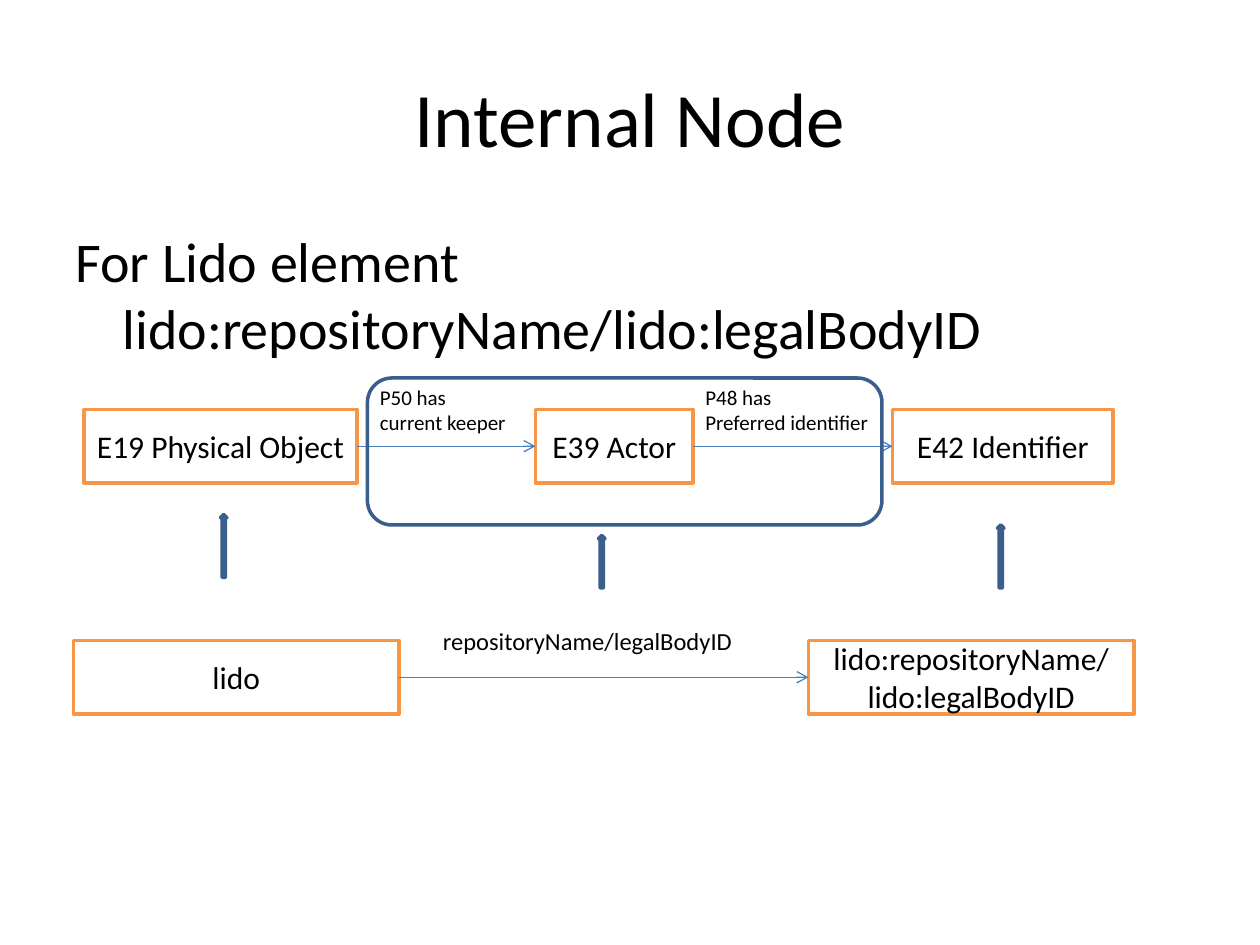
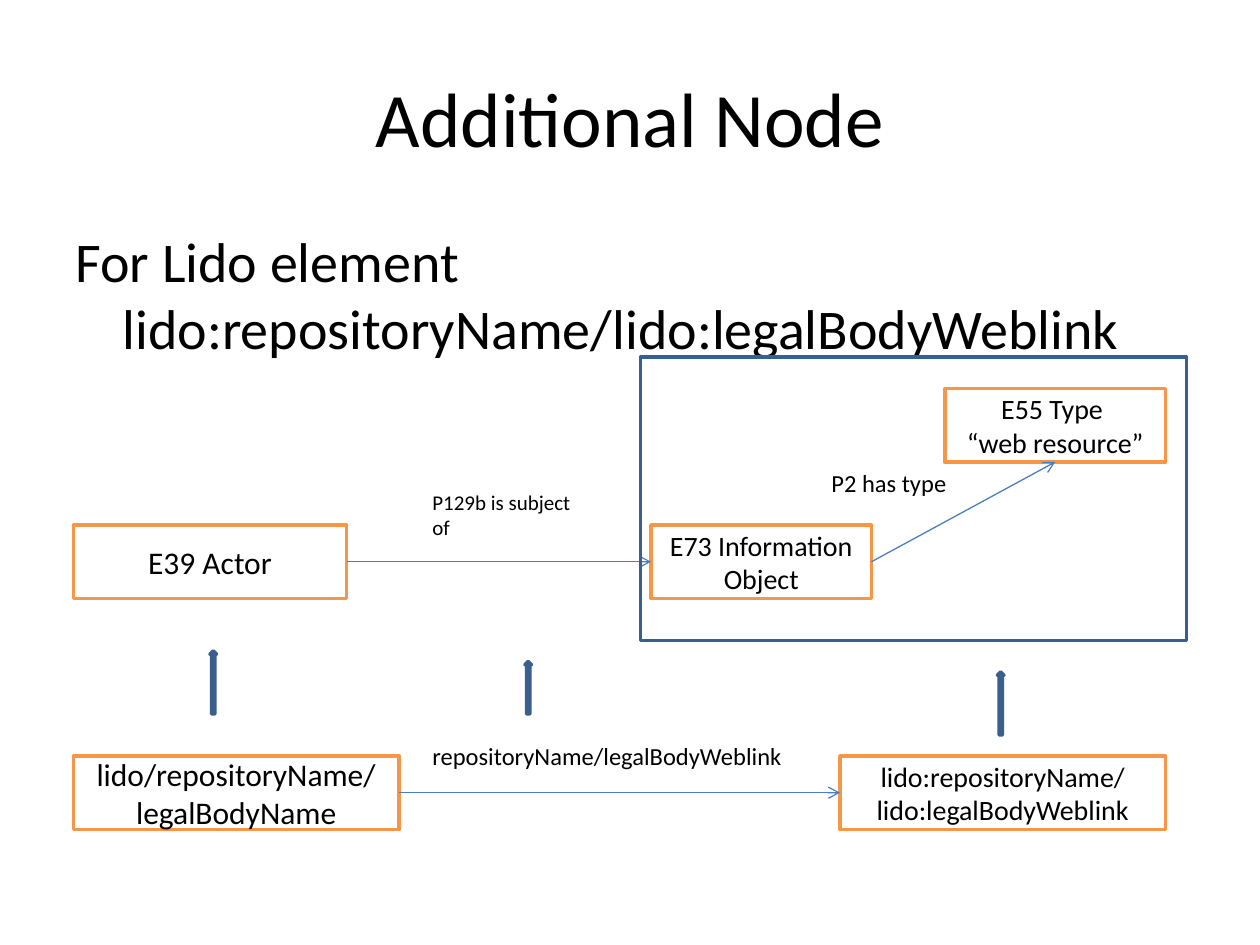
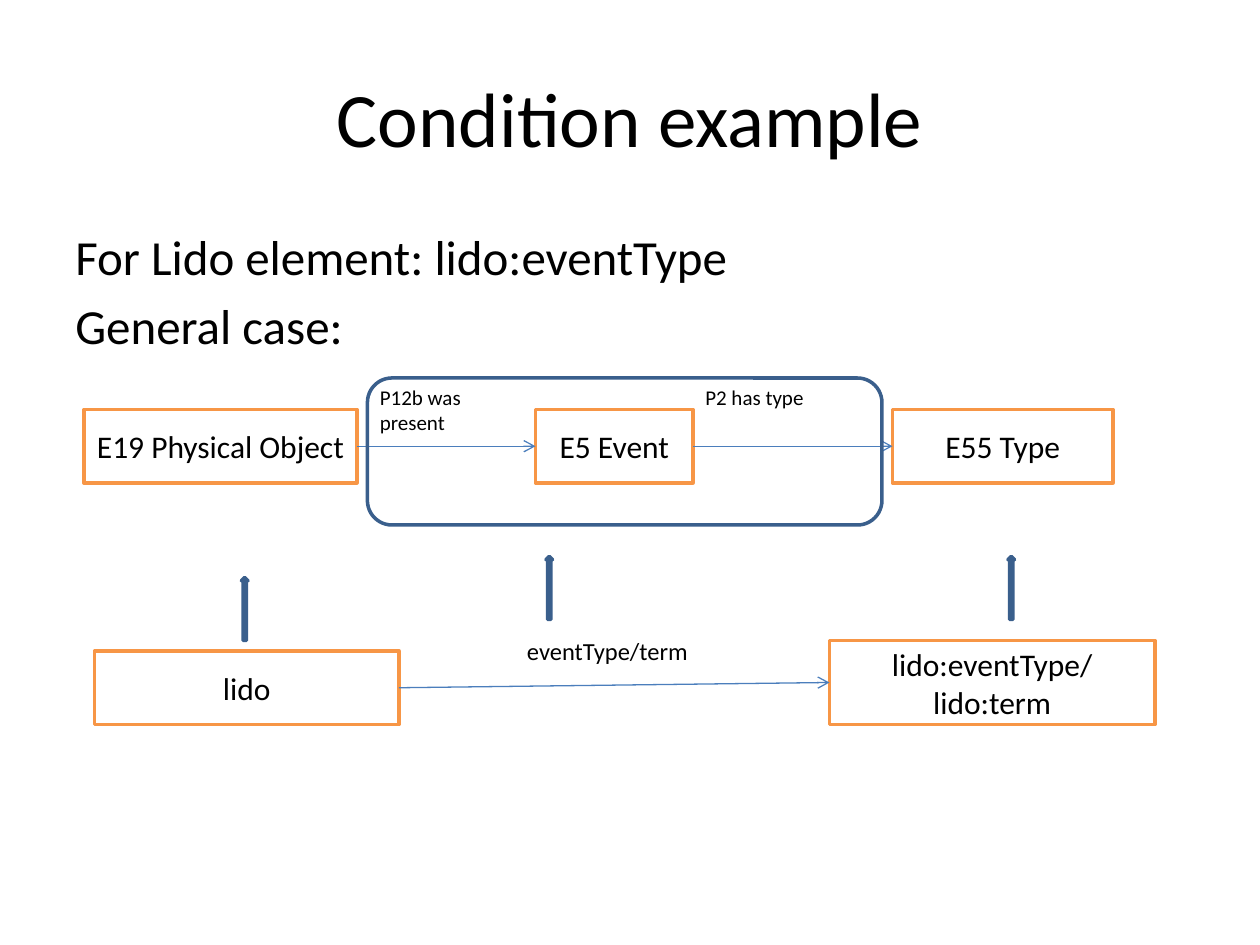
from dataclasses import dataclass

from lxml.etree import SubElement
from pptx import Presentation
from pptx.dml.color import RGBColor
from pptx.enum.shapes import MSO_CONNECTOR, MSO_SHAPE
from pptx.enum.text import MSO_ANCHOR, MSO_AUTO_SIZE, PP_ALIGN
from pptx.oxml.ns import qn
from pptx.util import Pt


@dataclass(frozen=True)
class Theme:
    font: str = "Calibri"
    ink: RGBColor = RGBColor(0x00, 0x00, 0x00)
    paper: RGBColor = RGBColor(0xFF, 0xFF, 0xFF)
    node_edge: RGBColor = RGBColor(0xF7, 0x96, 0x46)
    frame_edge: RGBColor = RGBColor(0x3A, 0x5F, 0x8C)
    arrow_fill: RGBColor = RGBColor(0x4F, 0x81, 0xBD)
    link: RGBColor = RGBColor(0x4B, 0x7E, 0xBC)
    title: int = 44
    intro: int = 32
    small_intro: int = 28
    node: int = 18
    small_node: int = 16
    path_label: int = 14
    property_label: int = 12
    edge_width: float = 2
    link_width: float = 0.75


LEFT, BOTTOM, RIGHT = 1, 2, 3  # connection sites of a rectangle
NODE_HEIGHT = 42


class Deck:
    """Holds the theme and the slide being drawn."""

    def __init__(self, theme):
        self.theme = theme
        self.presentation = Presentation()
        self.presentation.slide_width = Pt(720)
        self.presentation.slide_height = Pt(540)

    def new_slide(self, title, intro, intro_size=None):
        blank = self.presentation.slide_layouts[6]
        self.shapes = self.presentation.slides.add_slide(blank).shapes
        heading = self.text(title, 36, 21.6, 648, 90, self.theme.title, PP_ALIGN.CENTER)
        heading.vertical_anchor = MSO_ANCHOR.MIDDLE

        size = intro_size or self.theme.intro
        body = self.text(intro, 36, 126, 648, 356.4, size)
        for paragraph in body.paragraphs:
            paragraph.space_before = Pt(size * 0.2)
            properties = paragraph._p.get_or_add_pPr()
            properties.set("marL", str(Pt(27)))
            properties.set("indent", str(Pt(-27)))

    def fill_text(self, frame, words, size, align):
        frame.word_wrap = True
        frame.text = words
        for paragraph in frame.paragraphs:
            paragraph.alignment = align
            for run in paragraph.runs:
                run.font.name = self.theme.font
                run.font.size = Pt(size)
                run.font.color.rgb = self.theme.ink

    def text(self, words, left, top, width, height, size, align=PP_ALIGN.LEFT):
        area = self.shapes.add_textbox(Pt(left), Pt(top), Pt(width), Pt(height))
        self.fill_text(area.text_frame, words, size, align)
        return area.text_frame

    def label(self, words, left, top, width, size, height=24.5):
        frame = self.text(words, left, top, width, height, size)
        frame.auto_size = MSO_AUTO_SIZE.SHAPE_TO_FIT_TEXT

    def outline(self, kind, left, top, width, height, edge, fill=None):
        shape = self.shapes.add_shape(kind, Pt(left), Pt(top), Pt(width), Pt(height))
        shape.shadow.inherit = False
        shape.line.color.rgb = edge
        shape.line.width = Pt(self.theme.edge_width)
        if fill is None:
            shape.fill.background()
        else:
            shape.fill.solid()
            shape.fill.fore_color.rgb = fill
        return shape

    def node(self, words, left, top, width, height=NODE_HEIGHT, size=None):
        box = self.outline(MSO_SHAPE.RECTANGLE, left, top, width, height,
                           self.theme.node_edge, self.theme.paper)
        box.text_frame.vertical_anchor = MSO_ANCHOR.MIDDLE
        self.fill_text(box.text_frame, words, size or self.theme.node, PP_ALIGN.CENTER)
        return box

    def frame(self, kind, left, top, width, height):
        self.outline(kind, left, top, width, height, self.theme.frame_edge)

    def up_arrows(self, *places):
        for left, top, height in places:
            self.outline(MSO_SHAPE.UP_ARROW, left, top, 3.75, height,
                         self.theme.frame_edge, self.theme.arrow_fill)

    def link(self, source, target, site=LEFT):
        line = self.shapes.add_connector(MSO_CONNECTOR.STRAIGHT, 0, 0, 0, 0)
        line.begin_connect(source, RIGHT)
        line.end_connect(target, site)
        line.line.color.rgb = self.theme.link
        line.line.width = Pt(self.theme.link_width)
        SubElement(line.line._get_or_add_ln(), qn("a:tailEnd"), type="arrow")
        SubElement(line._element.spPr, qn("a:effectLst"))

    def entity_chain(self, middle, last, first_property, second_property):
        """Object, inner node and end node, with the inner part framed."""
        nodes = [self.node(words, left, 234, width) for words, left, width in (
            ("E19 Physical Object", 48, 156), (middle, 306, 90), (last, 510, 126))]
        for source, target in zip(nodes, nodes[1:]):
            self.link(source, target)
        size = self.theme.property_label
        self.label(first_property, 210, 216, 90, size, 36)
        self.label(second_property, 396, 216, 114, size, 36)
        self.frame(MSO_SHAPE.ROUNDED_RECTANGLE, 210, 216, 294, 84)


def internal_node(deck):
    deck.new_slide("Internal Node",
                   "For Lido element\vlido:repositoryName/lido:legalBodyID")
    deck.entity_chain("E39 Actor", "E42 Identifier",
                      "P50 has current keeper", "P48 has\nPreferred identifier")
    # Source path
    record = deck.node("lido", 42, 366, 186)
    element = deck.node("lido:repositoryName/lido:legalBodyID", 462, 366, 186)
    deck.link(record, element)
    deck.label("repositoryName/legalBodyID", 246, 354, 192, deck.theme.path_label)
    deck.up_arrows((126, 294, 36), (342, 306, 30), (570, 300, 36))


def additional_node(deck):
    theme = deck.theme
    deck.new_slide("Additional Node",
                   "For Lido element\vlido:repositoryName/lido:legalBodyWeblink")
    # Entities, with the added type inside the frame
    actor = deck.node("E39 Actor", 42, 300, 156)
    information = deck.node("E73 Information Object", 372, 300, 126, size=theme.small_node)
    web_type = deck.node("E55 Type \n“web resource”", 540, 222, 126, size=theme.small_node)
    deck.link(actor, information)
    deck.link(information, web_type, BOTTOM)
    deck.label("P129b is subject of", 240, 276, 96, theme.property_label, 36)
    deck.label("P2 has type", 468, 264, 84, theme.path_label)
    deck.frame(MSO_SHAPE.RECTANGLE, 366, 204, 312, 162)
    # Source path
    record = deck.node("lido/repositoryName/legalBodyName", 42, 432, 186)
    element = deck.node("lido:repositoryName/lido:legalBodyWeblink", 480, 432, 186,
                        size=theme.small_node)
    deck.link(record, element)
    deck.label("repositoryName/legalBodyWeblink", 240, 420, 222, theme.path_label)
    deck.up_arrows((120, 372, 36), (300, 378, 30), (570, 384, 36))


def condition_example(deck):
    deck.new_slide("Condition example",
                   "For Lido element: lido:eventType\nGeneral case:",
                   deck.theme.small_intro)
    deck.entity_chain("E5 Event", "E55 Type", "P12b was present", "P2 has type")
    # Source path
    record = deck.node("lido", 54, 372, 174)
    element = deck.node("lido:eventType/lido:term", 474, 366, 186, height=48)
    deck.link(record, element)
    deck.label("eventType/term", 294, 360, 126, deck.theme.path_label)
    deck.up_arrows((138, 330, 36), (312, 318, 36), (576, 318, 36))


def main():
    deck = Deck(Theme())
    internal_node(deck)
    additional_node(deck)
    condition_example(deck)
    deck.presentation.save("out.pptx")


if __name__ == "__main__":
    main()
